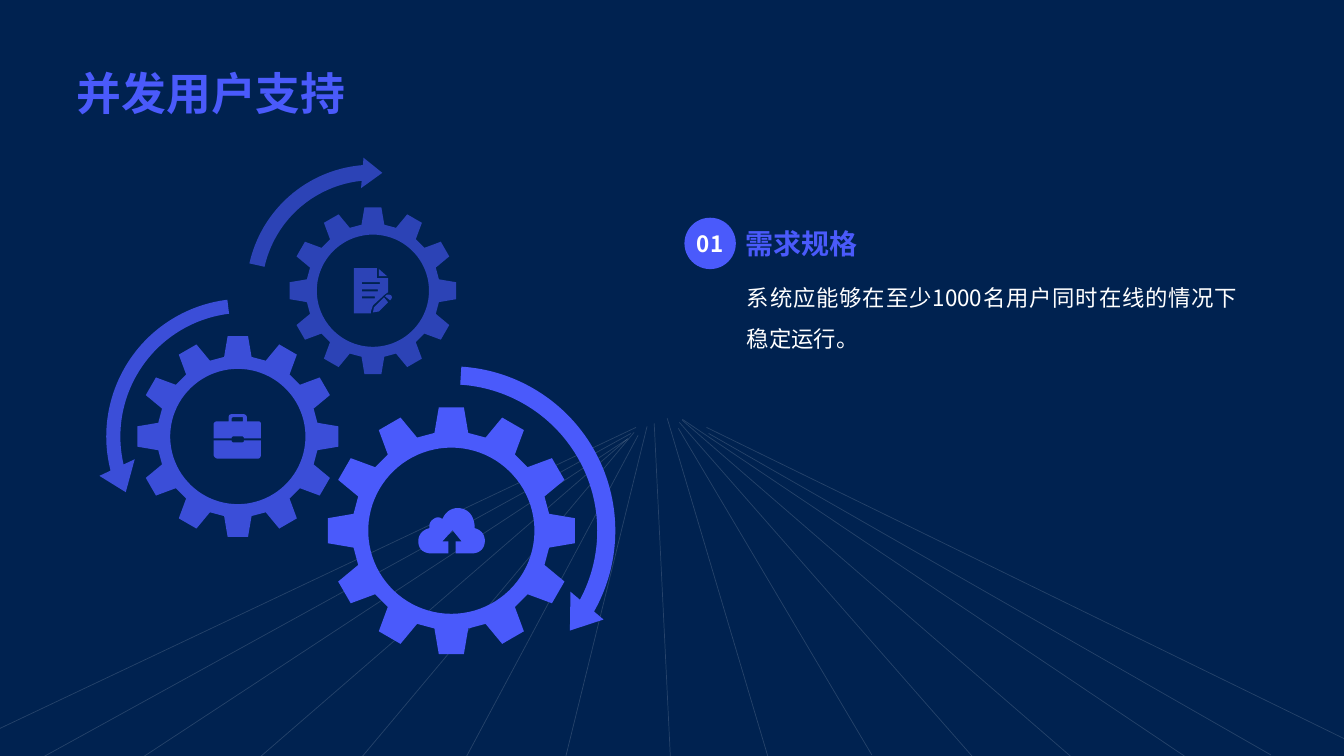
from math import cos, radians, sin

from lxml import etree
from pptx import Presentation
from pptx.dml.color import RGBColor
from pptx.enum.shapes import MSO_CONNECTOR, MSO_SHAPE
from pptx.enum.text import MSO_ANCHOR, PP_ALIGN
from pptx.oxml.ns import qn
from pptx.util import Pt

LINE = MSO_CONNECTOR.STRAIGHT
ARC_ARROW, OVAL = MSO_SHAPE.CIRCULAR_ARROW, MSO_SHAPE.OVAL
TOP, MIDDLE, BOTTOM = MSO_ANCHOR.TOP, MSO_ANCHOR.MIDDLE, MSO_ANCHOR.BOTTOM
LEFT, CENTER, JUSTIFY = PP_ALIGN.LEFT, PP_ALIGN.CENTER, PP_ALIGN.JUSTIFY

NAVY, BLUE, WHITE = "002250", "4A5AFB", "FFFFFF"
CJK = "Noto Sans CJK SC"

# Text: words, box, size, font, colour, bold, alignment, anchor, line spacing
TEXTS = [
    ("并发用户支持", (54.7, 28.1, 850.3, 56.9), 32, "Arial", BLUE, True, LEFT, BOTTOM, 1),
    ("系统应能够在至少1000名用户同时在线的情况下稳定运行。",
     (533.5, 193.7, 350.6, 254.9), 16, CJK, WHITE, False, JUSTIFY, TOP, 1.5),
    ("需求规格", (532.8, 155.5, 350.6, 30.2), 20, CJK, BLUE, True, LEFT, BOTTOM, 1),
]
BADGE = ("01", (488.9, 155.5, 36.7, 36.7))

# Background rays: bottom x, y, top x, y
RAYS = [
    (478.8, 540, 467.3, 302.4), (548.6, 540.7, 476.6, 298.8),
    (622.8, 539.3, 484.6, 306), (695.5, 541.4, 485.3, 301.7),
    (766.1, 541.4, 487.4, 300.2), (846, 540, 487.4, 299.5),
    (907.9, 539.3, 506.2, 309.6), (960.5, 527.8, 504.7, 305.3),
    (-0.7, 520.6, 454.3, 305.3), (23, 545, 450.7, 309.6),
    (102.2, 540.7, 447.8, 313.9), (185.8, 540.7, 448.6, 313.2),
    (258.5, 540.7, 452.9, 308.9), (333.4, 540, 455.8, 311),
    (403.9, 541.4, 462.2, 304.6),
]

# Icon outlines on a 0.72 pt grid; six numbers make a Bezier segment
CLOUD = [[
    (56, 20), (56, 20, 57, 2, 41, 0), (28, -1, 24, 11, 24, 11),
    (24, 11, 20, 7, 15, 11), (10, 14, 11, 20, 11, 20), (11, 20, 0, 22, 0, 33),
    (0, 45, 12, 45, 12, 45), (30, 45), (30, 33), (24, 33), (34, 22), (43, 33),
    (37, 33), (37, 45), (54, 45), (54, 45, 65, 45, 66, 34), (67, 22, 56, 20, 56, 20),
]]
DOCUMENT = [
    [(0, 0), (23, 0), (23, 10), (34, 10), (34, 24), (31, 26), (19, 37), (17, 43),
     (17, 45), (0, 45)],
    [(25, 1), (33, 8), (25, 8)],
    [(20, 39), (30, 29), (34, 34), (25, 43), (19, 44)],
    [(37, 27), (38, 28, 38, 30, 37, 31), (36, 32), (31, 28), (32, 27),
     (33, 26, 35, 26, 37, 27)],
] + [[(8, y), (right, y), (right, y + 2), (8, y + 2)]
     for y, right in ((14, 26), (21, 24), (28, 21))]
BRIEFCASE = [
    [(0, 26), (18, 26), (18, 27), (19, 28), (29, 28), (30, 27), (30, 26), (47, 26),
     (47, 40), (47, 42, 46, 44, 44, 44), (4, 44), (2, 44, 0, 42, 0, 40)],
    [(0, 24), (18, 24), (18, 23), (19, 22), (29, 22), (30, 23), (30, 24), (47, 24),
     (47, 10), (47, 8, 46, 7, 44, 7), (33, 7), (33, 3), (33, 1, 31, 0, 30, 0),
     (18, 0), (16, 0, 15, 1, 15, 3), (15, 7), (4, 7), (2, 7, 0, 8, 0, 10)],
    [(18, 7), (18, 4), (19, 3), (29, 3), (29, 7)],
]
ICON_GRID = 0.72

# Gears: centre, radius, opacity, icon, icon origin, arrow box, flipped, adjustments
GEARS = [
    ((322.4, 379.1), 88.6, 100, CLOUD, (298.8, 362.9), (195.8, 252.7, 252.7),
     False, (0.051, 6.704, 17.314, 164.172, 0.061)),
    ((266.4, 207.7), 59.8, 60, DOCUMENT, (252.7, 191.5), (170.6, 112.3, 191.5),
     False, (0.058, 5.8, 158.949, 115.627, 0.057)),
    ((169.9, 311.8), 72.1, 80, BRIEFCASE, (152.6, 295.9), (67, 204.5, 214.6),
     True, (0.047, 6.881, 8.245, 166.167, 0.065)),
]
TEETH, ROOT, HOLE = 12, 0.8, 0.67
TIP_HALF, ROOT_HALF = 5.8, 9.8  # degrees


def rgb(color):
    return RGBColor.from_string(color)


def set_opacity(fill_parent, percent):
    color = fill_parent.find(".//" + qn("a:srgbClr"))
    etree.SubElement(color, qn("a:alpha")).set("val", str(percent * 1000))


def paint(s, opacity=100):
    s.shadow.inherit = False
    s.fill.solid()
    s.fill.fore_color.rgb = rgb(BLUE)
    s.line.fill.background()
    if opacity < 100:
        set_opacity(s._element.spPr, opacity)


def write(s, text, size, font, color, bold, align, anchor, spacing=1, wrap=True):
    tf = s.text_frame
    tf.word_wrap = wrap
    tf.vertical_anchor = anchor
    tf.margin_left = tf.margin_right = tf.margin_top = tf.margin_bottom = 0
    p = tf.paragraphs[0]
    p.text, p.alignment, p.line_spacing = text, align, spacing
    p.font.size, p.font.name, p.font.bold = Pt(size), font, bold
    p.font.color.rgb = rgb(color)
    defaults = p._p.pPr.find(qn("a:defRPr"))
    etree.SubElement(defaults, qn("a:ea")).set("typeface", font)


def flatten(contour, steps=10):
    points = []
    for seg in contour:
        if len(seg) == 2:
            points.append(seg)
            continue
        nodes = [points[-1], seg[:2], seg[2:4], seg[4:]]
        for i in range(1, steps + 1):
            t = i / steps
            weights = ((1 - t) ** 3, 3 * t * (1 - t) ** 2, 3 * t * t * (1 - t), t ** 3)
            points.append(tuple(sum(w * n[axis] for w, n in zip(weights, nodes))
                                for axis in (0, 1)))
    return points


def draw_outline(contours, origin, scale, opacity):
    builder = None
    for contour in contours:
        points = [(Pt(origin[0] + x * scale), Pt(origin[1] + y * scale))
                  for x, y in flatten(contour)]
        if builder is None:
            builder = shapes.build_freeform(*points[0], scale=1.0)
        else:
            builder.move_to(*points[0])
        builder.add_line_segments(points[1:], close=True)
    paint(builder.convert_to_shape(), opacity)


def polar(radius, degrees):
    return radius * sin(radians(degrees)), -radius * cos(radians(degrees))


def gear_contours():
    corners = ((ROOT, -ROOT_HALF), (1, -TIP_HALF), (1, TIP_HALF), (ROOT, ROOT_HALF))
    rim = [polar(radius, tooth * 360 / TEETH + offset)
           for tooth in range(TEETH) for radius, offset in corners]
    hole = [polar(HOLE, -angle) for angle in range(0, 360, 4)]
    return [rim, hole]


prs = Presentation()
prs.slide_width, prs.slide_height = Pt(960), Pt(540)
slide = prs.slides.add_slide(prs.slide_layouts[6])
slide.background.fill.solid()
slide.background.fill.fore_color.rgb = rgb(NAVY)
shapes = slide.shapes

# Background rays
for ray in RAYS:
    s = shapes.add_connector(LINE, *map(Pt, ray))
    s.line.color.rgb = rgb(WHITE)
    s.line.width = Pt(0.5)
    set_opacity(s._element.spPr, 15)
    etree.SubElement(s._element.spPr, qn("a:effectLst"))

# Gears with icons and arrows
for center, radius, opacity, icon, origin, (x, y, side), flipped, adjustments in GEARS:
    draw_outline(gear_contours(), center, radius, opacity)
    draw_outline(icon, origin, ICON_GRID, opacity)
    s = shapes.add_shape(ARC_ARROW, Pt(x), Pt(y), Pt(side), Pt(side))
    for i, value in enumerate(adjustments):
        s.adjustments[i] = value
    if flipped:
        s._element.spPr.xfrm.set("flipH", "1")
    paint(s, opacity)

# Title, heading, body and number badge
for text, box, *style in TEXTS:
    write(shapes.add_textbox(*map(Pt, box)), text, *style)

number, box = BADGE
s = shapes.add_shape(OVAL, *map(Pt, box))
paint(s)
write(s, number, 16, CJK, WHITE, True, CENTER, MIDDLE, wrap=False)

prs.save("out.pptx")
